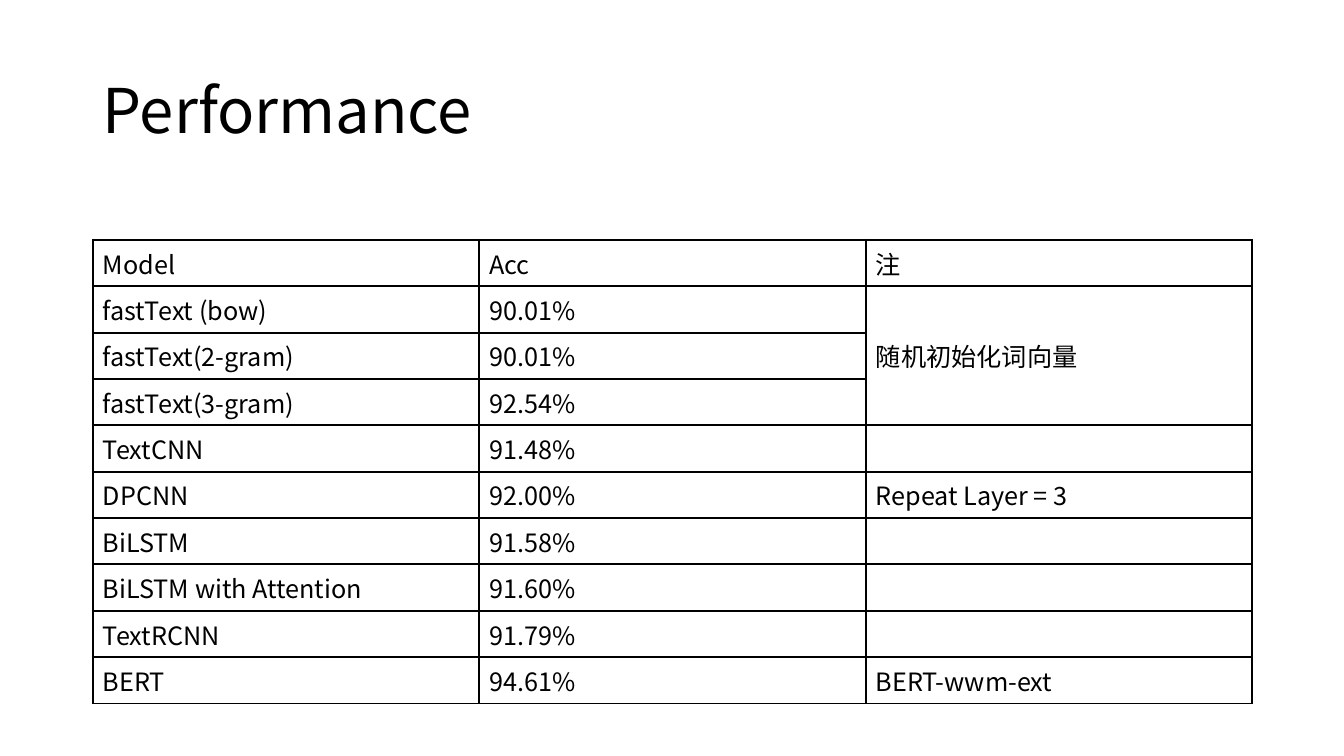
import pptx
import pptx.util
import pptx.dml.color
import pptx.enum.text
import pptx.oxml.ns
import lxml.etree

TITLE = "Performance"
ROWS = [
    ("Model", "Acc", "注"),
    ("fastText (bow)", "90.01%", "随机初始化词向量"),
    ("fastText(2-gram)", "90.01%", ""),
    ("fastText(3-gram)", "92.54%", ""),
    ("TextCNN", "91.48%", ""),
    ("DPCNN", "92.00%", "Repeat Layer = 3"),
    ("BiLSTM", "91.58%", ""),
    ("BiLSTM with Attention", "91.60%", ""),
    ("TextRCNN", "91.79%", ""),
    ("BERT", "94.61%", "BERT-wwm-ext"),
]
NOTE_SPAN = ((1, 2), (3, 2))

FONT = "Noto Sans CJK SC"
BLACK = pptx.dml.color.RGBColor(0, 0, 0)
WIDTH, HEIGHT = 13.33, 7.5
MARGIN = 0.92
CONTENT_WIDTH = 11.5
TITLE_TOP, TITLE_HEIGHT = 0.4, 1.45
TABLE_TOP, ROW_HEIGHT = 2.38, 0.46
BORDER = 1.5

Inches = pptx.util.Inches
Pt = pptx.util.Pt
qn = pptx.oxml.ns.qn
MIDDLE = pptx.enum.text.MSO_ANCHOR.MIDDLE


def add_run(p, text, size):
    r = p.add_run()
    r.text = text
    r.font.size = Pt(size)
    r.font.name = FONT
    r.font.color.rgb = BLACK
    ea = lxml.etree.SubElement(r.font._element, qn("a:ea"))
    ea.set("typeface", FONT)


def add_borders(cell):
    tc_pr = cell._tc.get_or_add_tcPr()
    for side in ("lnL", "lnR", "lnT", "lnB"):
        ln = lxml.etree.SubElement(tc_pr, qn("a:" + side), w=str(int(Pt(BORDER))))
        fill = lxml.etree.SubElement(ln, qn("a:solidFill"))
        lxml.etree.SubElement(fill, qn("a:srgbClr"), val=str(BLACK))


def add_title(s):
    box = s.shapes.add_textbox(
        Inches(MARGIN), Inches(TITLE_TOP), Inches(CONTENT_WIDTH), Inches(TITLE_HEIGHT)
    )
    tf = box.text_frame
    tf.word_wrap = True
    tf.vertical_anchor = MIDDLE
    p = tf.paragraphs[0]
    p.line_spacing = 0.9
    add_run(p, TITLE, 44)


def add_results(s):
    table = s.shapes.add_table(
        len(ROWS), len(ROWS[0]), Inches(MARGIN), Inches(TABLE_TOP),
        Inches(CONTENT_WIDTH), Inches(ROW_HEIGHT * len(ROWS)),
    ).table
    table.first_row = False
    table.horz_banding = False
    for i, row in enumerate(ROWS):
        for j, text in enumerate(row):
            cell = table.cell(i, j)
            cell.vertical_anchor = MIDDLE
            add_borders(cell)
            cell.fill.background()
            if text:
                add_run(cell.text_frame.paragraphs[0], text, 18)
    first, last = NOTE_SPAN
    table.cell(*first).merge(table.cell(*last))


def main():
    prs = pptx.Presentation()
    prs.slide_width = Inches(WIDTH)
    prs.slide_height = Inches(HEIGHT)
    s = prs.slides.add_slide(prs.slide_layouts[6])
    add_title(s)
    add_results(s)
    prs.save("out.pptx")


if __name__ == "__main__":
    main()
